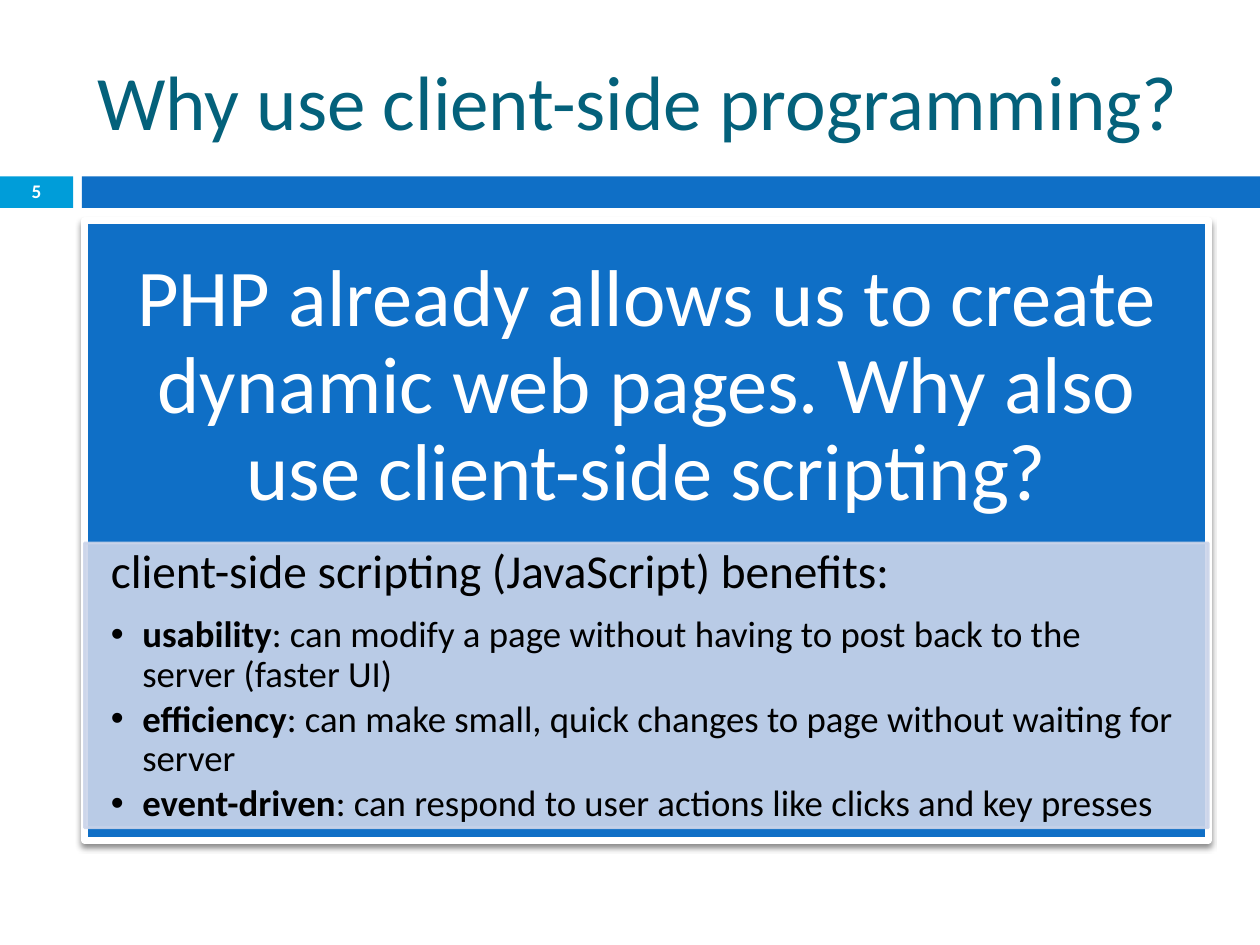
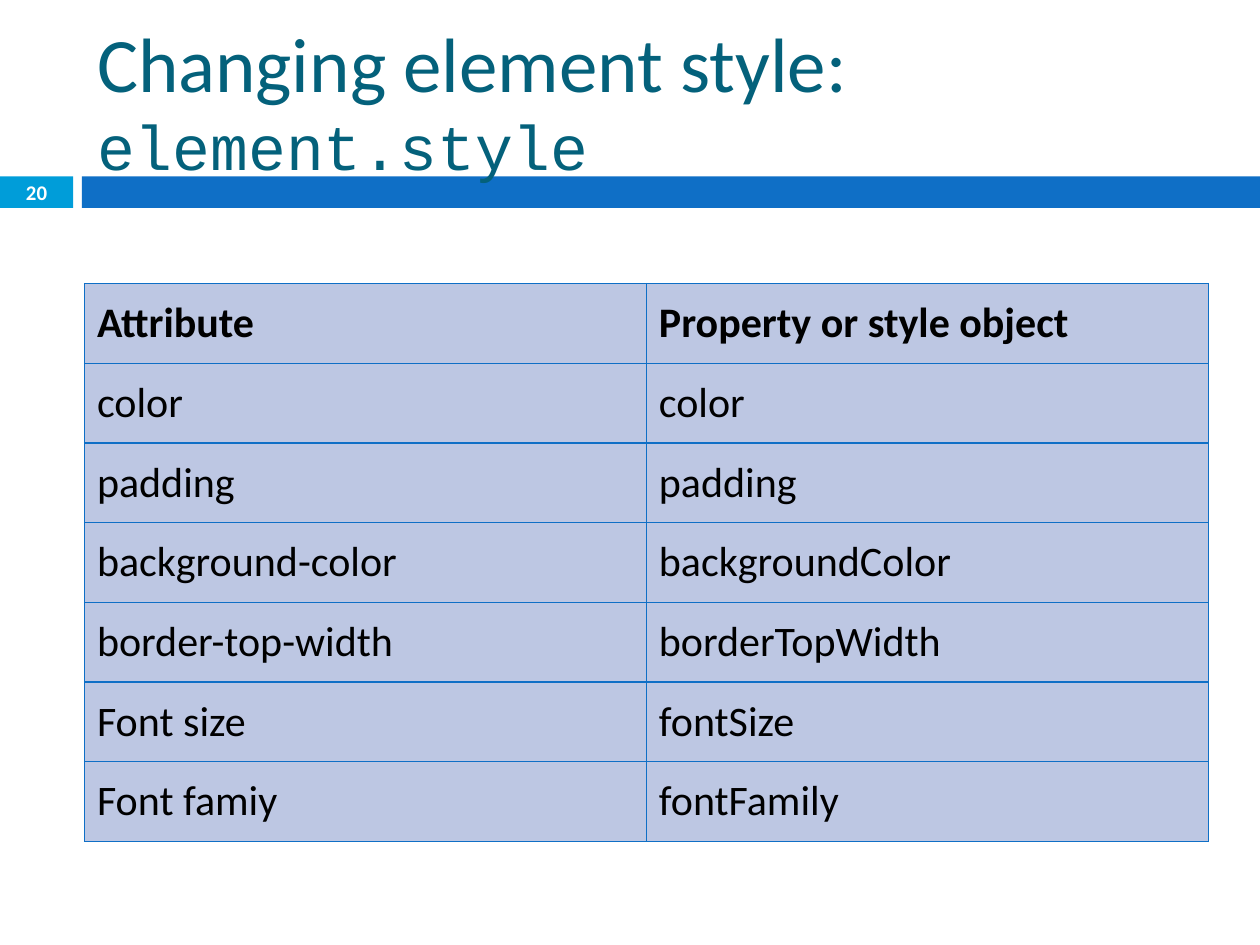
"""Build two slides on client-side programming: its benefits and element styling."""
from dataclasses import dataclass

from lxml.etree import SubElement
from pptx import Presentation
from pptx.dml.color import RGBColor
from pptx.enum.shapes import MSO_SHAPE
from pptx.enum.text import MSO_ANCHOR, MSO_AUTO_SIZE, PP_ALIGN
from pptx.oxml.ns import qn
from pptx.util import Inches, Pt

BENEFITS = {
    "title": [("Why use client-side programming?", {})],
    "number": ("5", {"size": 11, "spacing": 0.9}),
    "question": "PHP already allows us to create dynamic web pages. "
                "Why also use client-side scripting?",
    "heading": "client-side scripting (JavaScript) benefits:",
    "points": [
        ("usability", ": can modify a page without having to post back to the server (faster UI)"),
        ("efficiency", ": can make small, quick changes to page without waiting for server"),
        ("event-driven", ": can respond to user actions like clicks and key presses"),
    ],
}
STYLES = {
    "title": [("Changing element style: ", {}),
              ("element.style", {"size": 36, "font": "Courier New"})],
    "number": ("20", {"size": 11.9}),
    "rows": [
        ("Attribute", "Property or style object"),
        ("color", "color"),
        ("padding", "padding"),
        ("background-color", "backgroundColor"),
        ("border-top-width", "borderTopWidth"),
        ("Font size", "fontSize"),
        ("Font famiy", "fontFamily"),
    ],
}


@dataclass(frozen=True)
class Theme:
    """Colours, fonts and type sizes of the deck."""
    font: str = "Calibri"
    blue: str = "0F6FC6"
    cyan: str = "009DD9"
    teal: str = "04617B"
    pale: str = "CCD5EA"
    cell: str = "BDC7E3"
    white: str = "FFFFFF"
    black: str = "000000"
    title: float = 44
    question: float = 46
    heading: float = 27
    point: float = 21
    table: float = 24


THEME = Theme()
LEFT, WIDTH = 0.67, 8.92
BAND_TOP, BAND_HEIGHT = 1.4, 0.25
BAND_SPLIT, BAND_START = 0.58, 0.65
ROW_HEIGHT = 4.43 / len(STYLES["rows"])


def colour(value):
    """Turn a hex string into a colour."""
    return RGBColor.from_string(value)


def box(left, top, width, height):
    """Give a rectangle in inches as slide lengths."""
    return [Inches(length) for length in (left, top, width, height)]


def place(shape, *area):
    """Move and size a shape."""
    shape.left, shape.top, shape.width, shape.height = box(*area)


def write(paragraph, text, *, size, color, font=THEME.font, bold=False,
          align=PP_ALIGN.LEFT, spacing=1.0, after=0):
    """Add a formatted run of text to a paragraph."""
    paragraph.alignment = align
    paragraph.line_spacing = spacing
    paragraph.space_before, paragraph.space_after = Pt(0), Pt(after)
    run = paragraph.add_run()
    run.text = text
    run.font.name, run.font.size, run.font.bold = font, Pt(size), bold
    run.font.color.rgb = colour(color)


def set_frame(shape, *, anchor, across=0.1, down=0.05):
    """Prepare the text frame of a shape and return it."""
    frame = shape.text_frame
    frame.word_wrap, frame.auto_size = True, MSO_AUTO_SIZE.NONE
    frame.vertical_anchor = anchor
    frame.margin_left = frame.margin_right = Inches(across)
    frame.margin_top = frame.margin_bottom = Inches(down)
    return frame


def set_bullet(paragraph, sign=None, indent=0.0):
    """Give a paragraph a hanging bullet, or none."""
    properties = paragraph._p.get_or_add_pPr()
    properties.set("marL", str(Inches(indent)))
    properties.set("indent", str(-Inches(indent)))
    if sign:
        SubElement(properties, qn("a:buChar"), char=sign)
    else:
        SubElement(properties, qn("a:buNone"))


def add_block(slide, fill, *area):
    """Add a plain filled rectangle."""
    block = slide.shapes.add_shape(MSO_SHAPE.RECTANGLE, *box(*area))
    block.shadow.inherit = False
    block.fill.solid()
    block.fill.fore_color.rgb = colour(fill)
    block.line.fill.background()
    return block


def bring_forward(slide, shape):
    """Put a shape in front of all others."""
    slide.shapes._spTree.append(shape._element)


def start_slide(deck, layout, content):
    """Add a slide with its bands, number and title."""
    slide = deck.slides.add_slide(deck.slide_layouts[layout])
    add_block(slide, THEME.cyan, 0, BAND_TOP, BAND_SPLIT, BAND_HEIGHT)
    add_block(slide, THEME.blue, BAND_START, BAND_TOP, 10 - BAND_START, BAND_HEIGHT)

    title = slide.shapes.title
    place(title, LEFT, 0.25, WIDTH, 1.08)
    line = set_frame(title, anchor=MSO_ANCHOR.MIDDLE).paragraphs[0]
    for text, changes in content["title"]:
        write(line, text, **{"size": THEME.title, "color": THEME.teal, **changes})
    bring_forward(slide, title)

    number = slide.shapes.add_textbox(*box(0, 1.39, BAND_SPLIT, 0.27))
    text, changes = content["number"]
    write(set_frame(number, anchor=MSO_ANCHOR.MIDDLE).paragraphs[0], text,
          color=THEME.white, bold=True, align=PP_ALIGN.CENTER, **changes)
    return slide


def add_panel(slide):
    """Add the white-edged panel with its soft shadow."""
    panel = add_block(slide, THEME.blue, LEFT, 1.75, WIDTH, 4.92)
    panel.line.color.rgb = colour(THEME.white)
    panel.line.width = Pt(3.75)
    effects = panel._element.spPr.find(qn("a:effectLst"))
    shadow = SubElement(effects, qn("a:outerShdw"), blurRad=str(Pt(3)),
                        dist=str(Pt(2.4)), dir="5400000", rotWithShape="0")
    shade = SubElement(shadow, qn("a:srgbClr"), val=THEME.black)
    SubElement(shade, qn("a:alpha"), val="45000")


def build_benefits(deck):
    """Build the slide that asks the question and lists the benefits."""
    slide = start_slide(deck, 1, BENEFITS)
    add_panel(slide)
    question = slide.shapes.add_textbox(*box(LEFT, 1.75, WIDTH, 2.65))
    frame = set_frame(question, anchor=MSO_ANCHOR.MIDDLE, across=0.36, down=0.36)
    write(frame.paragraphs[0], BENEFITS["question"], size=THEME.question,
          color=THEME.white, align=PP_ALIGN.CENTER, spacing=0.9)

    benefits = slide.placeholders[1]
    place(benefits, LEFT, 4.31, WIDTH, 2.26)
    benefits.fill.solid()
    benefits.fill.fore_color.rgb = benefits.line.color.rgb = colour(THEME.pale)
    benefits.line.width = Pt(1.5)
    for tint in benefits._element.spPr.iter(qn("a:srgbClr")):
        SubElement(tint, qn("a:alpha"), val="90000")
    bring_forward(slide, benefits)

    frame = set_frame(benefits, anchor=MSO_ANCHOR.TOP, across=0.21, down=0.04)
    heading = frame.paragraphs[0]
    write(heading, BENEFITS["heading"], size=THEME.heading, color=THEME.black,
          spacing=0.9, after=9.5)
    set_bullet(heading)
    for benefit, reason in BENEFITS["points"]:
        point = frame.add_paragraph()
        point.level = 1
        for text, bold in ((benefit, True), (reason, False)):
            write(point, text, size=THEME.point, color=THEME.black, bold=bold,
                  spacing=0.9, after=3)
        set_bullet(point, "•", 0.25)


def set_borders(cell):
    """Draw thin blue lines on all sides of a cell."""
    properties = cell._tc.get_or_add_tcPr()
    for side in "LRTB":
        edge = SubElement(properties, qn(f"a:ln{side}"), w=str(Pt(0.79)))
        fill = SubElement(edge, qn("a:solidFill"))
        SubElement(fill, qn("a:srgbClr"), val=THEME.blue)


def build_styles(deck):
    """Build the slide that pairs attributes with style properties."""
    slide = start_slide(deck, 5, STYLES)
    rows = STYLES["rows"]
    styles = slide.shapes.add_table(
        len(rows), len(rows[0]), *box(LEFT, 2.25, WIDTH, ROW_HEIGHT * len(rows))).table
    styles.horz_banding = False
    for row, names in enumerate(rows):
        for column, name in enumerate(names):
            cell = styles.cell(row, column)
            set_borders(cell)
            cell.fill.solid()
            cell.fill.fore_color.rgb = colour(THEME.cell)
            cell.vertical_anchor = MSO_ANCHOR.MIDDLE
            write(cell.text_frame.paragraphs[0], name, size=THEME.table,
                  color=THEME.black, bold=row == 0)


def main():
    """Build and save the deck."""
    deck = Presentation()
    deck.slide_width, deck.slide_height = Inches(10), Inches(7.5)
    build_benefits(deck)
    build_styles(deck)
    deck.save("out.pptx")


if __name__ == "__main__":
    main()
